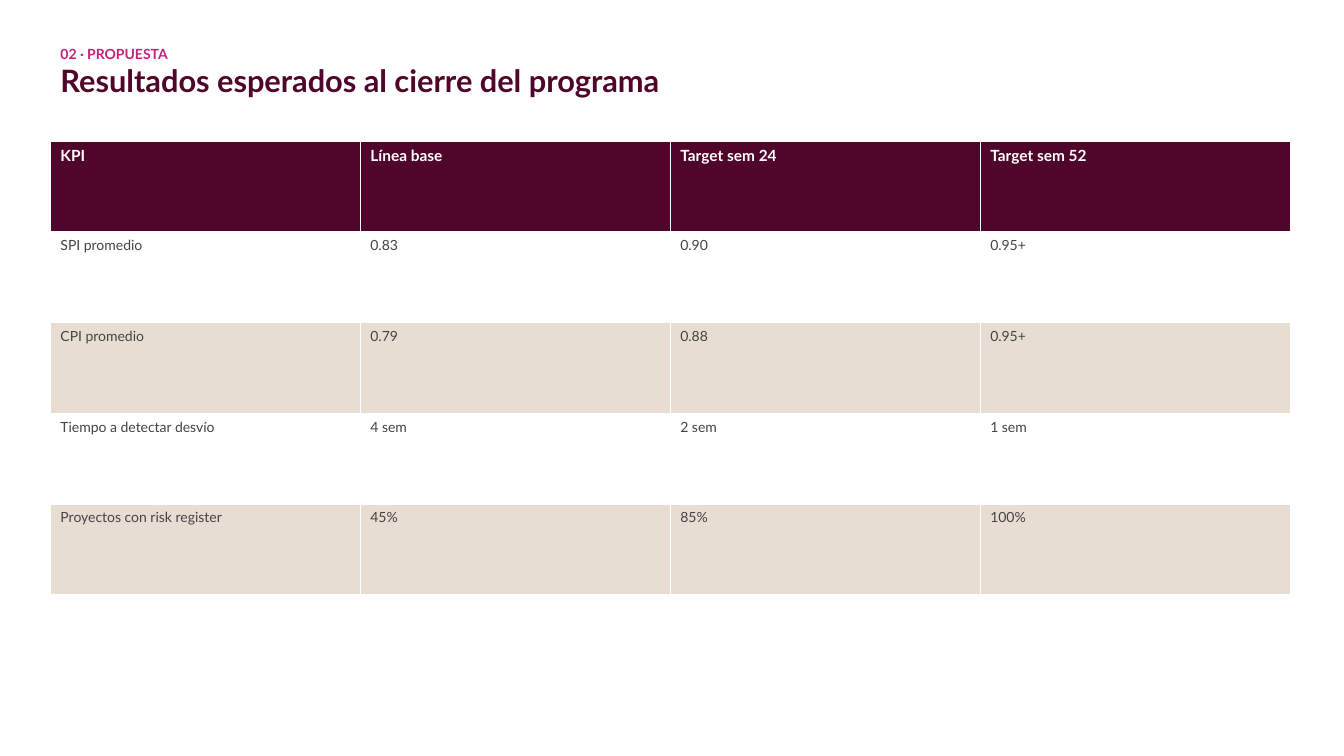
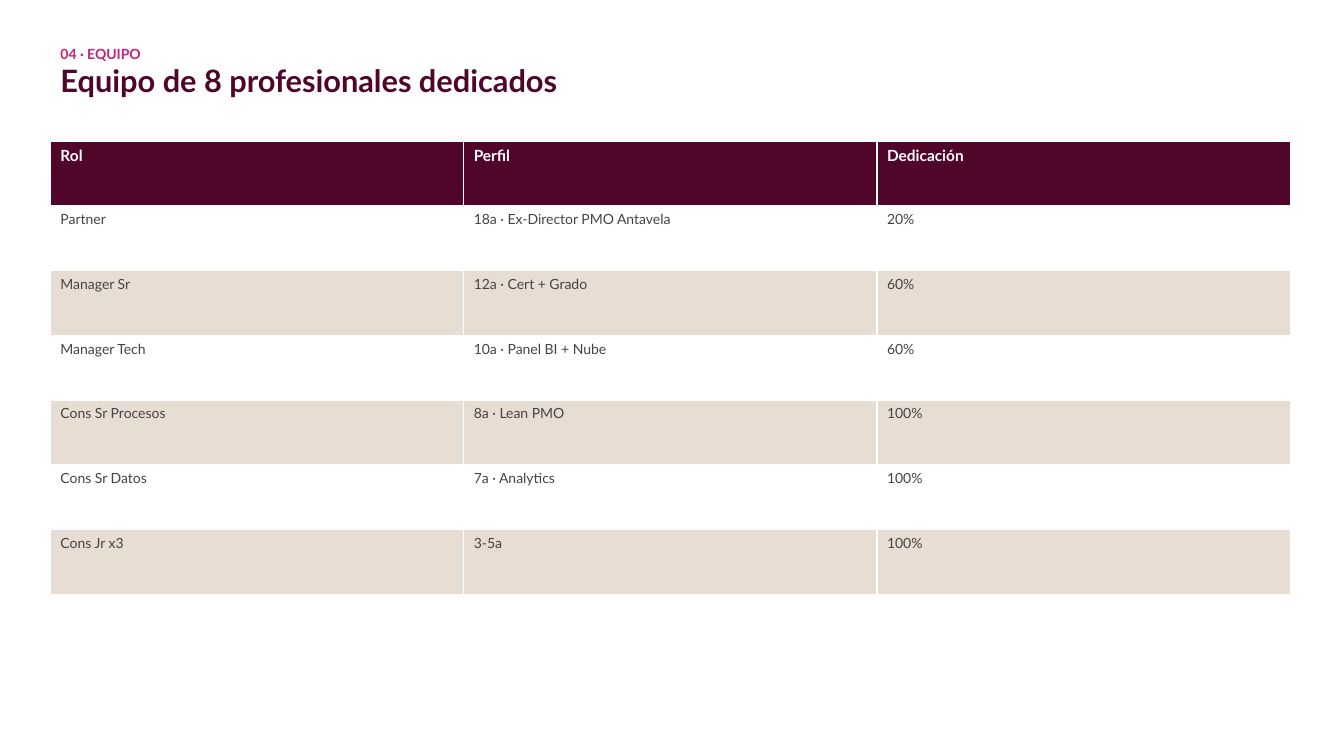
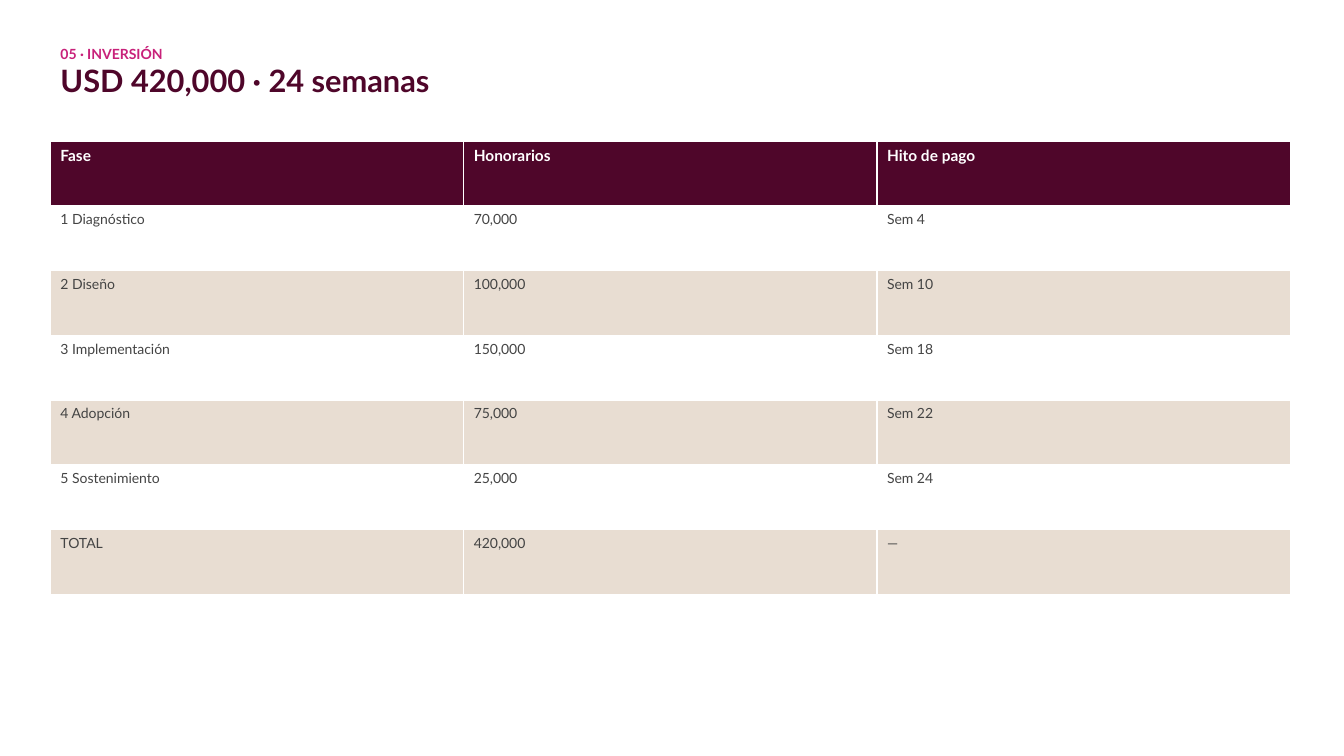
from dataclasses import dataclass

from pptx import Presentation
from pptx.dml.color import RGBColor
from pptx.enum.text import MSO_ANCHOR, MSO_AUTO_SIZE, PP_ALIGN
from pptx.util import Pt

TOP, LEFT = MSO_ANCHOR.TOP, PP_ALIGN.LEFT
GROW = MSO_AUTO_SIZE.SHAPE_TO_FIT_TEXT
TITLE_ONLY = 5

SLIDES = [
    {
        "section": "02 · PROPUESTA",
        "title": "Resultados esperados al cierre del programa",
        "rows": [
            ("KPI", "Línea base", "Target sem 24", "Target sem 52"),
            ("SPI promedio", "0.83", "0.90", "0.95+"),
            ("CPI promedio", "0.79", "0.88", "0.95+"),
            ("Tiempo a detectar desvío", "4 sem", "2 sem", "1 sem"),
            ("Proyectos con risk register", "45%", "85%", "100%"),
        ],
    },
    {
        "section": "04 · EQUIPO",
        "title": "Equipo de 8 profesionales dedicados",
        "rows": [
            ("Rol", "Perfil", "Dedicación"),
            ("Partner", "18a · Ex-Director PMO Antavela", "20%"),
            ("Manager Sr", "12a · Cert + Grado", "60%"),
            ("Manager Tech", "10a · Panel BI + Nube", "60%"),
            ("Cons Sr Procesos", "8a · Lean PMO", "100%"),
            ("Cons Sr Datos", "7a · Analytics", "100%"),
            ("Cons Jr x3", "3-5a", "100%"),
        ],
    },
    {
        "section": "05 · INVERSIÓN",
        "title": "USD 420,000 · 24 semanas",
        "rows": [
            ("Fase", "Honorarios", "Hito de pago"),
            ("1 Diagnóstico", "70,000", "Sem 4"),
            ("2 Diseño", "100,000", "Sem 10"),
            ("3 Implementación", "150,000", "Sem 18"),
            ("4 Adopción", "75,000", "Sem 22"),
            ("5 Sostenimiento", "25,000", "Sem 24"),
            ("TOTAL", "420,000", "—"),
        ],
    },
]


@dataclass(frozen=True)
class Theme:
    font: str = "Lato"
    plum: str = "4F062A"
    pink: str = "C8217A"
    sand: str = "E8DDD2"
    white: str = "FFFFFF"
    grey: str = "444444"
    title_size: float = 22
    header_size: float = 11
    body_size: float = 10


T = Theme()
SECTION = {"size": Pt(T.body_size), "bold": True, "color": T.pink}
TITLE = {"size": Pt(T.title_size), "bold": True, "color": T.plum}
HEADER = {"size": Pt(T.header_size), "bold": True, "color": T.white}
BODY = {"size": Pt(T.body_size), "bold": False, "color": T.grey}

MARGIN, CONTENT_W = 36, 885.6
TITLE_BOX = {"left": Pt(MARGIN), "top": Pt(28.8), "width": Pt(CONTENT_W), "height": Pt(36)}
TABLE_TOP, TABLE_H = 100.8, 324


def set_attrs(obj, values):
    for name, value in values.items():
        setattr(obj, name, value)


def write(p, text, style):
    p.alignment = LEFT
    r = p.add_run()
    r.text = text
    set_attrs(r.font, {"name": T.font, "size": style["size"], "bold": style["bold"]})
    r.font.color.rgb = RGBColor.from_string(style["color"])


def add_heading(s, section, title):
    sp = s.shapes.title
    set_attrs(sp, TITLE_BOX)
    tf = sp.text_frame
    set_attrs(tf, {"word_wrap": True, "auto_size": GROW, "vertical_anchor": TOP})
    write(tf.paragraphs[0], section, SECTION)
    write(tf.add_paragraph(), title, TITLE)


def add_grid(s, rows):
    """Add an even table with a plum header and alternating white and sand rows."""
    table = s.shapes.add_table(len(rows), len(rows[0]), Pt(MARGIN), Pt(TABLE_TOP),
                               Pt(CONTENT_W), Pt(TABLE_H)).table
    for i, row in enumerate(rows):
        fill = T.plum if i == 0 else T.white if i % 2 else T.sand
        for j, text in enumerate(row):
            cell = table.cell(i, j)
            cell.fill.solid()
            cell.fill.fore_color.rgb = RGBColor.from_string(fill)
            write(cell.text_frame.paragraphs[0], text, BODY if i else HEADER)


def main():
    prs = Presentation()
    set_attrs(prs, {"slide_width": Pt(960), "slide_height": Pt(540)})
    for content in SLIDES:
        s = prs.slides.add_slide(prs.slide_layouts[TITLE_ONLY])
        add_heading(s, content["section"], content["title"])
        add_grid(s, content["rows"])
    prs.save("out.pptx")


if __name__ == "__main__":
    main()
